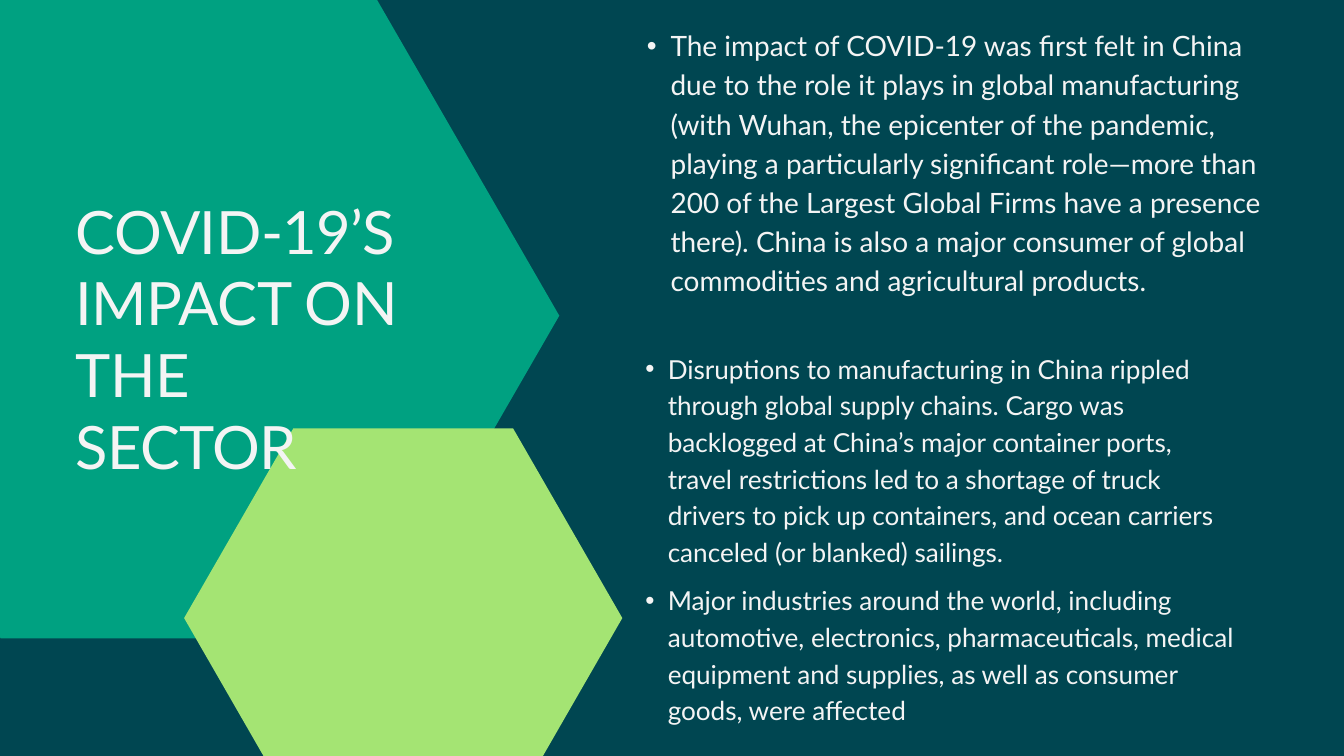
from dataclasses import dataclass

from lxml.etree import SubElement
from pptx import Presentation
from pptx.dml.color import RGBColor
from pptx.enum.text import MSO_ANCHOR, MSO_AUTO_SIZE, PP_ALIGN
from pptx.oxml.ns import qn
from pptx.slide import Slide
from pptx.util import Emu, Pt

SCALE = 9525
FONT = "Lato"
DARK = RGBColor(0x00, 0x46, 0x51)
TEAL = RGBColor(0x00, 0xA1, 0x81)
LIME = RGBColor(0xA4, 0xE4, 0x73)
WHITE = RGBColor(0xF4, 0xF4, 0xF4)


@dataclass
class Box:
    x: int
    y: int
    w: int
    h: int


@dataclass
class Hexagon:
    box: Box
    color: RGBColor


@dataclass
class Block:
    slot: int
    box: Box
    text: str
    size: int
    line: float
    indent: int = 0
    track: int = 0


HEXES = [
    Hexagon(Box(-265, -10, 1064, 922), TEAL),
    Hexagon(Box(263, 612, 626, 542), LIME),
]

BLOCKS = [
    Block(0, Box(108, 278, 468, 307), "COVID-19’S IMPACT ON THE SECTOR", 64, 76.8, track=-60),
    Block(
        1, Box(890, 33, 923, 438),
        "The impact of COVID-19 was first felt in China due to the role it plays in global "
        "manufacturing (with Wuhan, the epicenter of the pandemic, playing a particularly "
        "significant role—more than 200 of the Largest Global Firms have a presence there). "
        "China is also a major consumer of global commodities and agricultural products.",
        30, 42, 34,
    ),
    Block(
        2, Box(890, 497, 884, 310),
        "Disruptions to manufacturing in China rippled through global supply chains. Cargo was "
        "backlogged at China’s major container ports, travel restrictions led to a shortage of "
        "truck drivers to pick up containers, and ocean carriers canceled (or blanked) sailings.",
        28, 39.2, 32,
    ),
    Block(
        3, Box(890, 828, 884, 206),
        "Major industries around the world, including automotive, electronics, pharmaceuticals, "
        "medical equipment and supplies, as well as consumer goods, were affected",
        28, 39.2, 32,
    ),
]


def px(n: int) -> Emu:
    return Emu(n * SCALE)


def add_hex(slide: Slide, item: Hexagon, order: int) -> None:
    b = item.box
    left, right = b.x + b.w // 4, b.x + b.w - b.w // 4
    mid, end = b.y + b.h // 2, b.y + b.h
    pen = slide.shapes.build_freeform(b.x + b.w, mid, scale=SCALE)
    pen.add_line_segments([(right, end), (left, end), (b.x, mid), (left, b.y), (right, b.y)])
    shape = pen.convert_to_shape()
    shape.shadow.inherit = False
    shape.fill.solid()
    shape.fill.fore_color.rgb = item.color
    shape.line.fill.background()
    slide.shapes._spTree.insert(2 + order, shape._element)


def set_text(slide: Slide, block: Block) -> None:
    shape = slide.placeholders[block.slot]
    b = block.box
    shape.left, shape.top, shape.width, shape.height = px(b.x), px(b.y), px(b.w), px(b.h)
    frame = shape.text_frame
    frame.margin_left = frame.margin_top = frame.margin_right = frame.margin_bottom = 0
    frame.word_wrap = True
    frame.auto_size = MSO_AUTO_SIZE.NONE
    frame.vertical_anchor = MSO_ANCHOR.TOP
    para = frame.paragraphs[0]
    para.alignment = PP_ALIGN.LEFT
    para.line_spacing = Pt(block.line)
    para.space_before = para.space_after = Pt(0)
    if block.indent:
        props = para._p.get_or_add_pPr()
        props.set("marL", str(px(2 * block.indent)))
        props.set("indent", str(px(-block.indent)))
        SubElement(props, qn("a:buFont"), typeface="Arial")
        SubElement(props, qn("a:buChar"), char="•")
    run = para.add_run()
    run.text = block.text
    font = run.font
    font.name, font.size, font.bold = FONT, Pt(block.size), False
    font.color.rgb = WHITE
    if block.track:
        run._r.get_or_add_rPr().set("spc", str(block.track))


def main() -> None:
    deck = Presentation()
    deck.slide_width, deck.slide_height = px(1920), px(1080)
    slide = deck.slides.add_slide(deck.slide_layouts.get_by_name("Comparison"))
    slide.background.fill.solid()
    slide.background.fill.fore_color.rgb = DARK
    for order, item in enumerate(HEXES):
        add_hex(slide, item, order)
    for block in BLOCKS:
        set_text(slide, block)
    spare = slide.placeholders[4]._element
    spare.getparent().remove(spare)
    deck.save("out.pptx")


if __name__ == "__main__":
    main()
